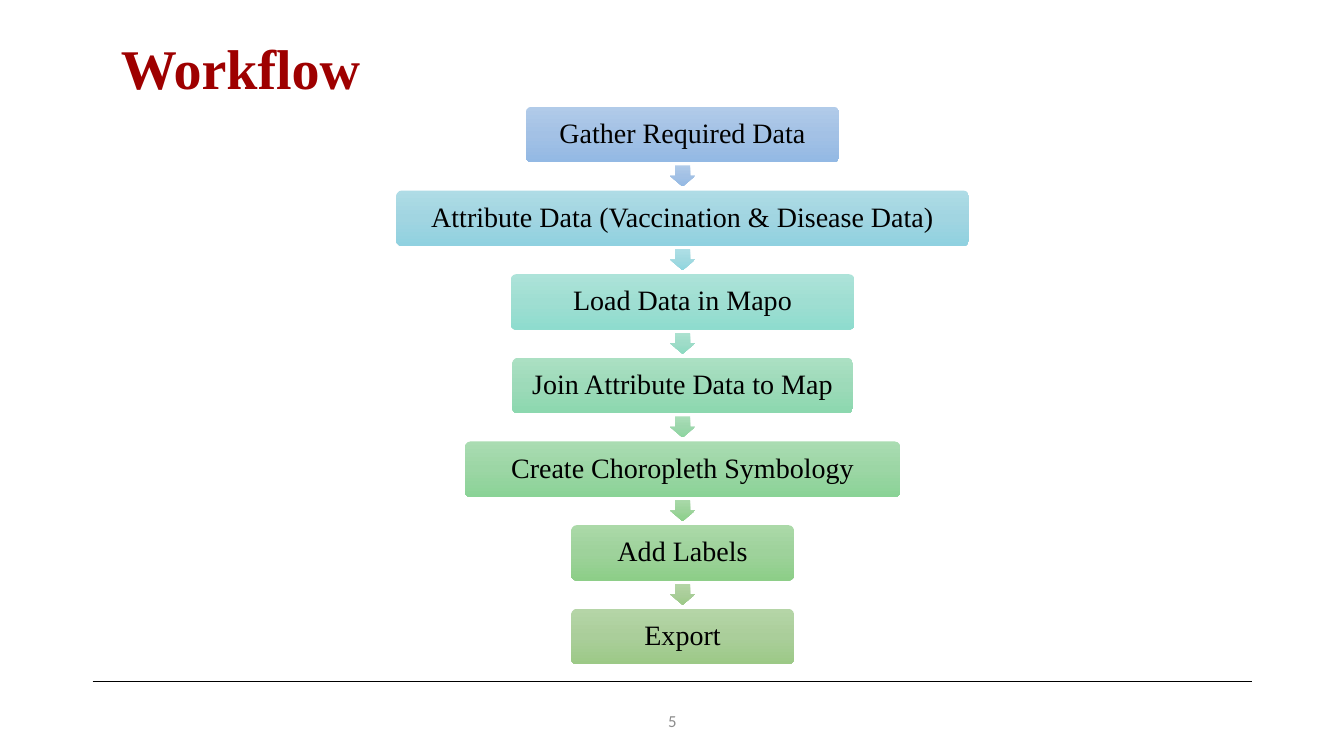
from copy import deepcopy
from pptx import Presentation
from pptx.dml.color import RGBColor
from pptx.enum.shapes import MSO_CONNECTOR, MSO_SHAPE
from pptx.enum.text import MSO_ANCHOR, PP_ALIGN
from pptx.oxml.ns import qn
from pptx.util import Inches, Pt
from lxml.etree import SubElement

SERIF = "Times New Roman"
MID = 6.77
TOP = 1.06
STEP = 0.83
BOX = 0.55
STAGES = [
    ("Gather Required Data", 3.11, "B1CBE9 A3C1E5 93B9E4"),
    ("Attribute Data (Vaccination & Disease Data)", 5.68, "AFDCE6 A1D5E1 90D1E0"),
    ("Load Data in Mapo", 3.41, "ADE3D9 9FDED2 8EDCCE"),
    ("Join Attribute Data to Map", 3.38, "ABE0C3 9DDAB9 8CD8AF"),
    ("Create Choropleth Symbology", 4.32, "AADCB2 9CD6A5 8AD396"),
    ("Add Labels", 2.21, "ABD9A8 9ED29B 8DCE88"),
    ("Export", 2.21, "B5D5A7 AACE9A 9CC987"),
]
ARROWS = [
    "B1CBE9 A3C1E5 93B9E4",
    "AEDFE6 A1D9E0 90D6DF",
    "ACE2D0 9EDCC8 8DDAC1",
    "AADEB8 9DD7AD 8BD59F",
    "A9D9A9 9CD39B 8ACF89",
    "B5D5A7 AACE9A 9CC987",
]


def paint(color, value):
    color.rgb = RGBColor.from_string(value)


def write(shape, text, size=20, font=SERIF, color="000000", bold=False,
          align=PP_ALIGN.CENTER, anchor=MSO_ANCHOR.MIDDLE, space=1.0):
    frame = shape.text_frame
    frame.word_wrap = True
    frame.vertical_anchor = anchor
    para = frame.paragraphs[0]
    para.alignment = align
    para.line_spacing = space
    run = para.add_run()
    run.text = text
    run.font.size = Pt(size)
    run.font.name = font
    run.font.bold = bold
    paint(run.font.color, color)


def label(slide, text, left, top, width, height, **style):
    box = slide.shapes.add_textbox(
        Inches(left), Inches(top), Inches(width), Inches(height))
    write(box, text, **style)


def shade(shape, tones):
    fill = shape.fill
    fill.gradient()
    fill.gradient_angle = 270
    grad = shape.element.spPr.find(qn("a:gradFill"))
    grad.set("rotWithShape", "0")
    stops = grad.find(qn("a:gsLst"))
    stops.insert(1, deepcopy(stops[0]))
    for stop, spot, tone in zip(fill.gradient_stops, (0, 0.5, 1), tones.split()):
        stop.position = spot
        paint(stop.color, tone)


def block(slide, kind, top, width, height, tones, *adjust):
    shape = slide.shapes.add_shape(
        kind, Inches(MID - width / 2), Inches(top), Inches(width), Inches(height))
    shape.shadow.inherit = False
    shape.line.fill.background()
    shade(shape, tones)
    for spot, value in enumerate(adjust):
        shape.adjustments[spot] = value
    return shape


def stage(slide, top, text, width, tones):
    box = block(slide, MSO_SHAPE.ROUNDED_RECTANGLE, top, width, BOX, tones, 0.1)
    frame = box.text_frame
    frame.margin_left = frame.margin_right = Inches(0.08)
    frame.margin_top = frame.margin_bottom = Inches(0.08)
    write(box, text, space=0.9)


def arrow(slide, top, tones):
    shape = block(slide, MSO_SHAPE.RIGHT_ARROW, top, 0.21, 0.25, tones, 0.6, 0.5)
    shape.rotation = 90


def rule(slide, left, right, top):
    line = slide.shapes.add_connector(
        MSO_CONNECTOR.STRAIGHT, Inches(left), Inches(top), Inches(right), Inches(top))
    line.line.width = Pt(0.25)
    paint(line.line.color, "000000")
    SubElement(line.element.spPr, qn("a:effectLst"))


def main():
    deck = Presentation()
    deck.slide_width = Inches(13.33)
    deck.slide_height = Inches(7.5)
    slide = deck.slides.add_slide(deck.slide_layouts[6])
    rule(slide, 0.92, 12.42, 6.76)
    label(slide, "Workflow", 1.1, 0.28, 8.2, 0.77, size=40, color="9E0000",
          bold=True, align=PP_ALIGN.LEFT, anchor=MSO_ANCHOR.TOP)
    label(slide, "5", 4.42, 6.95, 4.5, 0.4, size=12, font="Calibri", color="8C8C8C")
    for spot, (text, width, tones) in enumerate(STAGES):
        stage(slide, TOP + spot * STEP, text, width, tones)
    for spot, tones in enumerate(ARROWS):
        arrow(slide, TOP + BOX + 0.01 + spot * STEP, tones)
    deck.save("out.pptx")


if __name__ == "__main__":
    main()
